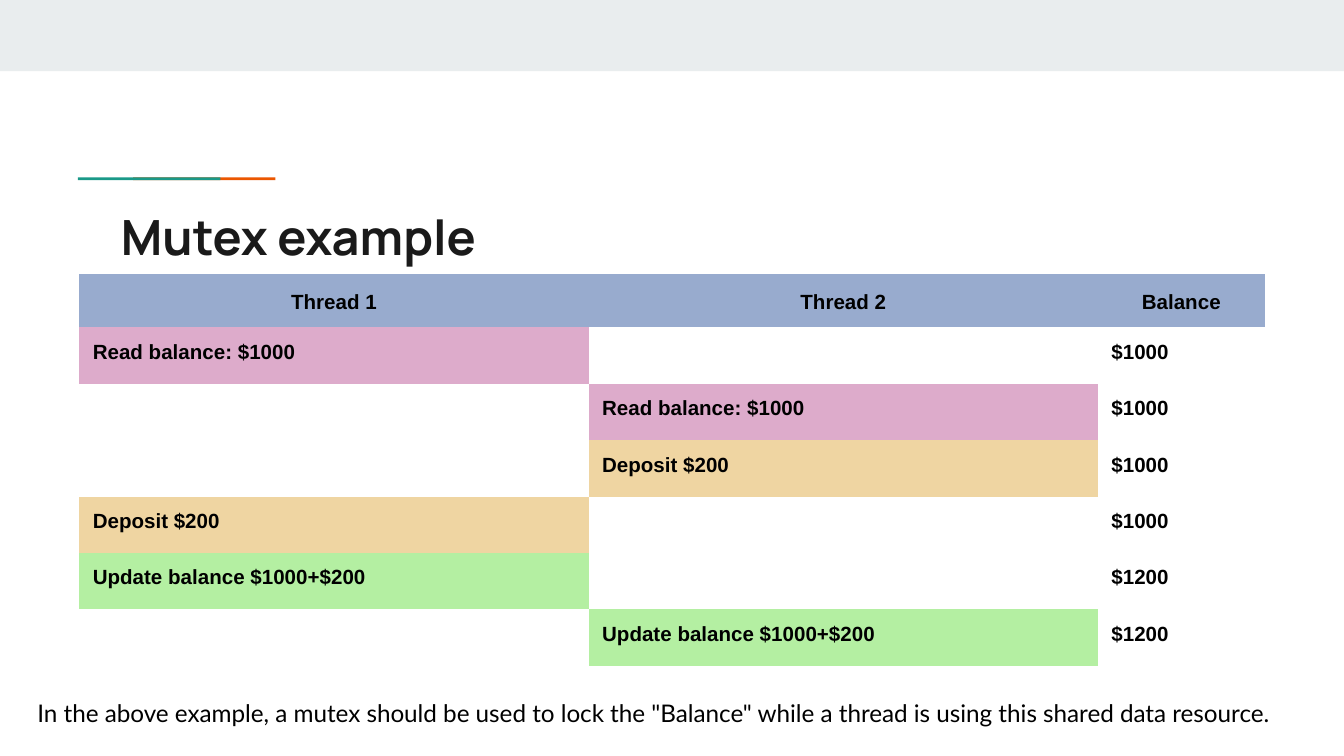
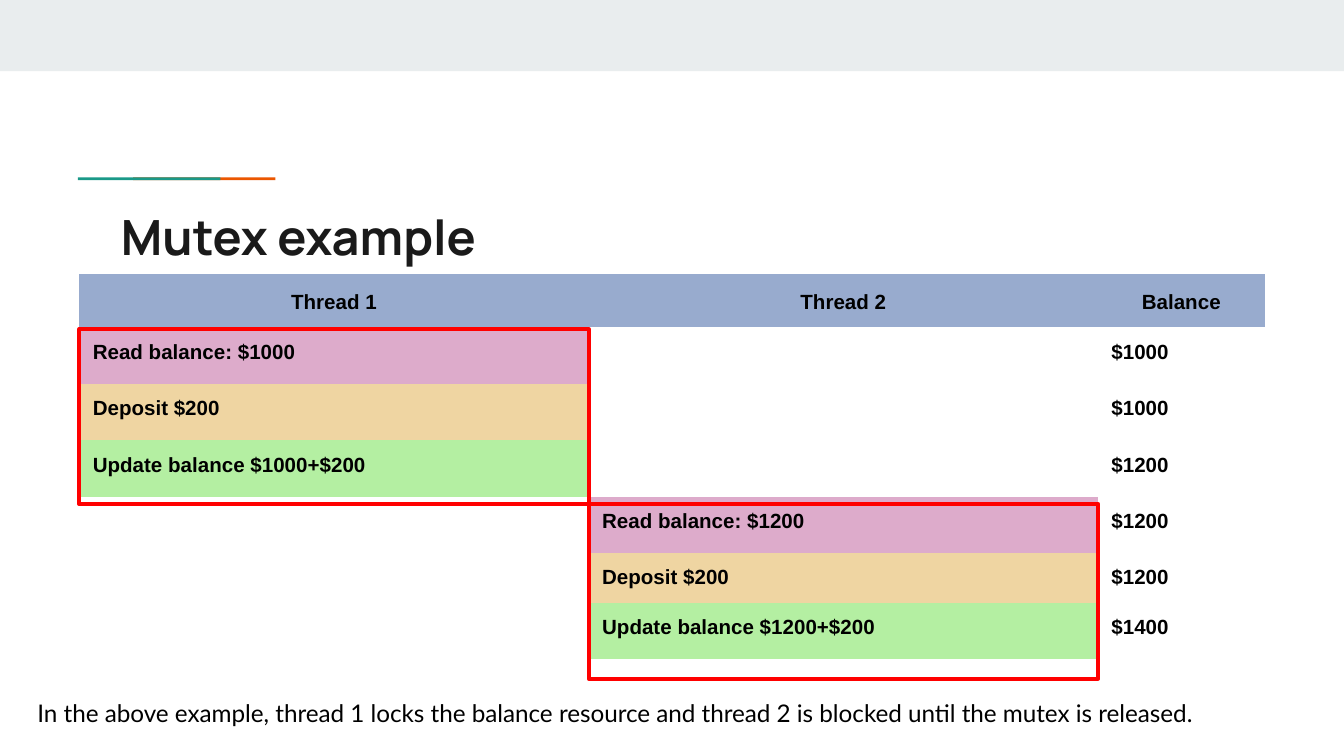
from lxml.etree import SubElement
from pptx import Presentation
from pptx.dml.color import RGBColor
from pptx.enum.shapes import MSO_SHAPE
from pptx.enum.text import MSO_ANCHOR, MSO_AUTO_SIZE, PP_ALIGN
from pptx.oxml.ns import qn
from pptx.util import Inches, Pt

BAND, TEAL, ORANGE = "E9EDEE", "1A9988", "EB5600"
INK, BLACK, LOCK_RED = "1A1A1A", "000000", "FF0000"
HEADER_BLUE = "98ABCE"
STEP_COLORS = {"Read": "DDABCB", "Deposit": "EFD5A2", "Update": "B4EFA2"}
NO_GRID_STYLE = "{2D5ABB26-0587-4C30-8999-92F81FD0307C}"

TITLE = "Mutex example"
HEADER = ("Thread 1", "Thread 2", "Balance")
COLUMN_WIDTHS = (3.79, 3.79, 1.24)
TABLE_LEFT, TABLE_TOP = 0.59, 2.04
HEADER_HEIGHT, STEP_HEIGHT = 0.39, 0.42
LOCK_TOP, LOCK_HEIGHT = 2.45, 1.3

EXAMPLES = [
    {
        "steps": [
            ("Read balance: $1000", "", "$1000"),
            ("", "Read balance: $1000", "$1000"),
            ("", "Deposit $200", "$1000"),
            ("Deposit $200", "", "$1000"),
            ("Update balance $1000+$200", "", "$1200"),
            ("", "Update balance $1000+$200", "$1200"),
        ],
        "short_steps": (),
        "locked_threads": (),
        "note": 'In the above example, a mutex should be used to lock the "Balance" '
                "while a thread is using this shared data resource.",
    },
    {
        "steps": [
            ("Read balance: $1000", "", "$1000"),
            ("Deposit $200", "", "$1000"),
            ("Update balance $1000+$200", "", "$1200"),
            ("", "Read balance: $1200", "$1200"),
            ("", "Deposit $200", "$1200"),
            ("", "Update balance $1200+$200", "$1400"),
        ],
        "short_steps": (5,),
        "locked_threads": (0, 1),
        "note": "In the above example, thread 1 locks the balance resource "
                "and thread 2 is blocked until the mutex is released.",
    },
]


def color(value):
    return RGBColor.from_string(value)


def style_font(paragraph, name, size, ink, bold=False):
    font = paragraph.font
    font.name, font.size, font.bold = name, Pt(size), bold
    font.color.rgb = color(ink)


def set_insets(frame):
    frame.margin_left = frame.margin_right = Inches(0.1)
    frame.margin_top = frame.margin_bottom = Inches(0.1)
    frame.vertical_anchor = MSO_ANCHOR.TOP
    frame.auto_size = MSO_AUTO_SIZE.NONE
    frame.word_wrap = True


def add_bar(slide, left, top, width, height, fill):
    bar = slide.shapes.add_shape(
        MSO_SHAPE.RECTANGLE, Inches(left), Inches(top), Inches(width), Inches(height))
    bar.shadow.inherit = False
    bar.fill.solid()
    bar.fill.fore_color.rgb = color(fill)
    bar.line.fill.background()


def add_title(slide):
    title = slide.shapes.title
    title.left, title.top = Inches(0.8), Inches(1.44)
    title.width, title.height = Inches(8.41), Inches(0.59)
    set_insets(title.text_frame)
    title.text_frame.text = TITLE
    heading = title.text_frame.paragraphs[0]
    heading.alignment = PP_ALIGN.LEFT
    style_font(heading, "Manrope", 26, INK, bold=True)


def fill_cell(cell, text, is_header):
    cell.text = text
    cell.margin_left = cell.margin_right = Inches(0.1)
    cell.margin_top = cell.margin_bottom = Inches(0.1)
    paragraph = cell.text_frame.paragraphs[0]
    style_font(paragraph, "Arial", 11, BLACK, bold=True)
    if is_header:
        paragraph.alignment = PP_ALIGN.CENTER
        paragraph.line_spacing = 1.15
    fill = HEADER_BLUE if is_header else STEP_COLORS.get(text.split(" ")[0])
    if fill:
        cell.fill.solid()
        cell.fill.fore_color.rgb = color(fill)
    else:
        cell.fill.background()


def add_timeline(slide, steps, short_steps):
    rows = [HEADER] + steps
    heights = [HEADER_HEIGHT] + [STEP_HEIGHT] * len(steps)
    for step in short_steps:
        heights[step] = 0.37
    timeline = slide.shapes.add_table(
        len(rows), len(HEADER), Inches(TABLE_LEFT), Inches(TABLE_TOP),
        Inches(sum(COLUMN_WIDTHS)), Inches(sum(heights))).table
    timeline.first_row = timeline.horz_banding = False
    timeline._tbl.tblPr.find(qn("a:tableStyleId")).text = NO_GRID_STYLE
    for column, width in zip(timeline.columns, COLUMN_WIDTHS):
        column.width = Inches(width)
    for index, (texts, height) in enumerate(zip(rows, heights)):
        timeline.rows[index].height = Inches(height)
        for column, text in enumerate(texts):
            fill_cell(timeline.cell(index, column), text, index == 0)


def add_note(slide, text):
    note = slide.shapes.add_textbox(
        Inches(0.18), Inches(5.06), Inches(9.41), Inches(0.44))
    set_insets(note.text_frame)
    note.text_frame.text = text
    paragraph = note.text_frame.paragraphs[0]
    paragraph.line_spacing = 1.15
    paragraph.space_after = Pt(16)
    style_font(paragraph, "Lato", 13, BLACK)


def add_lock(slide, thread):
    lock = slide.shapes.add_shape(
        MSO_SHAPE.RECTANGLE,
        Inches(TABLE_LEFT + sum(COLUMN_WIDTHS[:thread])),
        Inches(LOCK_TOP + thread * LOCK_HEIGHT),
        Inches(COLUMN_WIDTHS[thread]), Inches(LOCK_HEIGHT))
    lock.shadow.inherit = False
    lock.fill.background()
    lock.line.color.rgb = color(LOCK_RED)
    lock.line.width = Pt(2.25)
    SubElement(lock.line._get_or_add_ln(), qn("a:round"))


def add_example(deck, example):
    slide = deck.slides.add_slide(deck.slide_layouts[5])
    add_bar(slide, 0, 0, 10, 0.53, BAND)
    add_bar(slide, 0.99, 1.32, 1.06, 0.02, ORANGE)
    add_bar(slide, 0.58, 1.32, 1.06, 0.02, TEAL)
    add_title(slide)
    add_timeline(slide, example["steps"], example["short_steps"])
    add_note(slide, example["note"])
    for thread in example["locked_threads"]:
        add_lock(slide, thread)


def main():
    deck = Presentation()
    deck.slide_width = Inches(10)
    deck.slide_height = deck.slide_width * 9 // 16
    for example in EXAMPLES:
        add_example(deck, example)
    deck.save("out.pptx")


if __name__ == "__main__":
    main()
